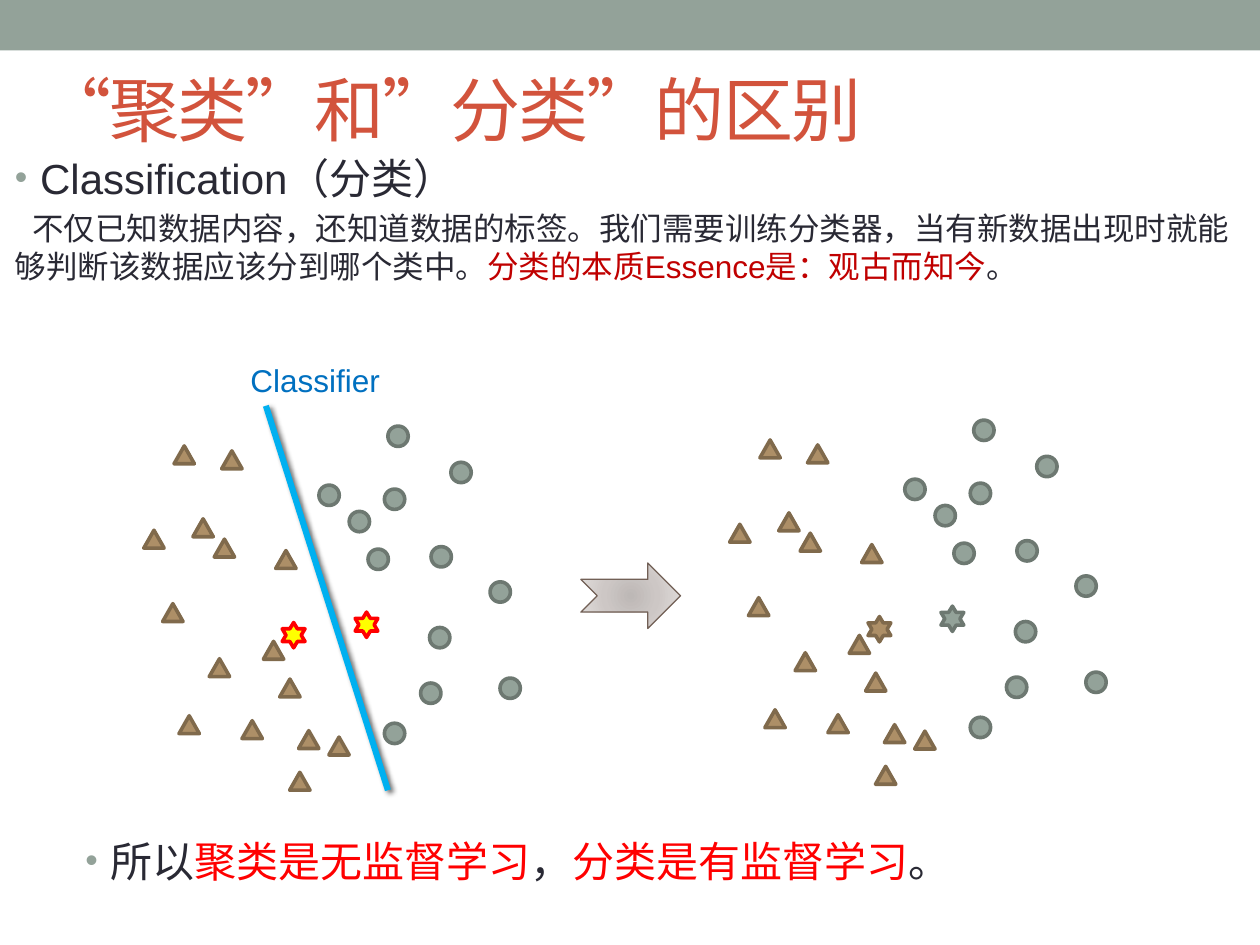
"""Build a slide on how clustering and classification differ."""
from lxml import etree
from pptx import Presentation
from pptx.dml.color import RGBColor
from pptx.enum.lang import MSO_LANGUAGE_ID
from pptx.enum.shapes import MSO_CONNECTOR, MSO_SHAPE
from pptx.enum.text import MSO_ANCHOR, MSO_AUTO_SIZE, PP_ALIGN
from pptx.oxml import parse_xml
from pptx.oxml.ns import nsdecls, qn
from pptx.util import Cm, Pt

CIRCLE = MSO_SHAPE.FLOWCHART_CONNECTOR
TRIANGLE = MSO_SHAPE.FLOWCHART_EXTRACT
STAR = MSO_SHAPE.STAR_6_POINT
ARROW = MSO_SHAPE.NOTCHED_RIGHT_ARROW
BAR = MSO_SHAPE.RECTANGLE
STRAIGHT = MSO_CONNECTOR.STRAIGHT
TOP, MIDDLE = MSO_ANCHOR.TOP, MSO_ANCHOR.MIDDLE
LEFT = PP_ALIGN.LEFT
NO_FIT = MSO_AUTO_SIZE.NONE
CHINESE = MSO_LANGUAGE_ID.SIMPLIFIED_CHINESE

INK, RED, DARK_RED = "292934", "FF0000", "C00000"
GREEN, BROWN, NEW = ("93A299", "6D7871"), ("AD8F67", "806A4C"), ("FFFF00", RED)

TITLE = [{"size": 40, "runs": [(" “聚类”和”分类”的区别", "D2533C")]}]
DEFINITION = [
    {"size": 24, "bullet": True, "runs": [("Classification（分类）", INK)]},
    {"size": 18, "before": 3.6, "indent": 0.35, "runs": [
        ("不仅已知数据内容，还知道数据的标签。我们需要训练分类器，"
         "当有新数据出现时就能够判断该数据应该分到哪个类中。", INK),
        ("分类的本质Essence是：观古而知今", DARK_RED),
        ("。", INK)]},
]
CONCLUSION = [{"size": 24, "bullet": True, "runs": [
    ("所以", INK), ("聚类是无监督学习", RED), ("，", INK),
    ("分类是有监督学习", RED), ("。", INK)]}]
CLASSIFIER = [{"size": 18, "runs": [("Classifier", "0070C0")]}]

CIRCLES = [(7.75, 9.86), (7.82, 8.59), (9.09, 9.32), (8.69, 11.02), (8.66, 12.65),
           (10.08, 13.67), (7.04, 10.31), (7.42, 11.07), (9.88, 11.73),
           (8.48, 13.77), (7.75, 14.58), (6.43, 9.78)]
TRIANGLES = [(3.51, 8.99), (4.47, 9.09), (3.89, 10.46), (5.64, 13.69), (4.22, 13.28),
             (4.88, 14.53), (5.56, 11.1), (5.31, 12.93), (6.02, 14.73), (2.9, 10.69),
             (4.32, 10.87), (3.28, 12.17), (3.61, 14.43), (5.84, 15.57), (6.63, 14.86)]
GREEN_STAR, BROWN_STAR = (7.16, 12.34), (5.69, 12.55)
PANELS = [((0, 0), NEW, NEW), ((11.81, -0.12), GREEN, BROWN)]
GRADIENT = [(0, "BDB8B6"), (45, "CDC7C5"), (100, "E4E1DF")]


def color(value):
    return RGBColor.from_string(value)


def add_shape(page, kind, place, fill, line=None, width=2.08):
    shape = page.shapes.add_shape(kind, *map(Cm, place))
    shape.shadow.inherit = False
    shape.fill.solid()
    shape.fill.fore_color.rgb = color(fill)
    if line:
        shape.line.color.rgb = color(line)
        shape.line.width = Pt(width)
    else:
        shape.line.fill.background()
    return shape


def add_bullet(properties):
    tint = etree.SubElement(properties, qn("a:buClr"))
    etree.SubElement(tint, qn("a:srgbClr"), val=GREEN[0])
    etree.SubElement(properties, qn("a:buSzPct"), val="85000")
    etree.SubElement(properties, qn("a:buFont"), typeface="Arial")
    etree.SubElement(properties, qn("a:buChar"), char="•")


def write(box, place, paragraphs, anchor=TOP, wrap=True):
    for name, value in zip(("left", "top", "width", "height"), place):
        setattr(box, name, Cm(value))
    frame = box.text_frame
    settings = {"word_wrap": wrap, "auto_size": NO_FIT, "vertical_anchor": anchor}
    for name, value in settings.items():
        setattr(frame, name, value)
    for index, content in enumerate(paragraphs):
        para = frame.add_paragraph() if index else frame.paragraphs[0]
        properties = para._p.get_or_add_pPr()
        bullet = content.get("bullet")
        margin = 0.51 if bullet else 0
        indent = -margin if bullet else content.get("indent", 0)
        properties.set("marL", str(Cm(margin)))
        properties.set("indent", str(Cm(indent)))
        if bullet:
            add_bullet(properties)
        para.alignment = LEFT
        para.space_before = Pt(content.get("before", 0))
        for text, tint in content["runs"]:
            span = para.add_run()
            span.text = text
            look = {"size": Pt(content["size"]), "name": "Arial", "language_id": CHINESE}
            for name, value in look.items():
                setattr(span.font, name, value)
            span.font.color.rgb = color(tint)


def add_boundary(page):
    line = page.shapes.add_connector(STRAIGHT, Cm(5.36), Cm(8.18), Cm(7.82), Cm(15.93))
    line.line.color.rgb = color("00B0F0")
    line.line.width = Pt(3.5)
    line._element.spPr.append(parse_xml(
        f'<a:effectLst {nsdecls("a")}>'
        f'<a:outerShdw blurRad="{Pt(3)}" dist="{Pt(2)}" dir="2700000">'
        '<a:srgbClr val="000000"><a:alpha val="60000"/></a:srgbClr>'
        '</a:outerShdw></a:effectLst>'))


def add_arrow(page):
    arrow = add_shape(page, ARROW, (11.71, 11.35, 2.01, 1.32), GRADIENT[0][1], "726056", 0.75)
    stops = "".join(f'<a:gs pos="{position * 1000}"><a:srgbClr val="{tint}"/></a:gs>'
                    for position, tint in GRADIENT)
    properties = arrow._element.spPr
    properties.replace(properties.find(qn("a:solidFill")), parse_xml(
        f'<a:gradFill {nsdecls("a")}><a:gsLst>{stops}</a:gsLst><a:path path="circle">'
        '<a:fillToRect l="100000" t="100000" r="100000" b="100000"/>'
        '</a:path></a:gradFill>'))


def add_panel(page, shift, green_star, brown_star):
    groups = [(CIRCLE, CIRCLES, (0.41, 0.41), GREEN),
              (TRIANGLE, TRIANGLES, (0.41, 0.36), BROWN),
              (STAR, [GREEN_STAR], (0.46, 0.51), green_star),
              (STAR, [BROWN_STAR], (0.46, 0.51), brown_star)]
    for kind, points, size, colors in groups:
        for left, top in points:
            add_shape(page, kind, (left + shift[0], top + shift[1], *size), *colors)


def main():
    deck = Presentation()
    deck.slide_width, deck.slide_height = Cm(25.4), Cm(19.05)
    page = deck.slides.add_slide(deck.slide_layouts[5])
    add_shape(page, BAR, (0, 0, 25.4, 1.02), GREEN[0])
    write(page.shapes.title, (0.3, 0.91, 23.85, 2.54), TITLE, MIDDLE)
    for span in page.shapes.title.text_frame.paragraphs[0].runs:
        span.font._element.set("spc", "-100")
    boxes = [((0.05, 2.95, 25.4, 3.73), DEFINITION, True),
             ((4.8, 7.16, 3.43, 1.02), CLASSIFIER, False),
             ((1.47, 16.71, 19.23, 1.6), CONCLUSION, True)]
    for place, paragraphs, wrap in boxes:
        write(page.shapes.add_textbox(*map(Cm, place)), place, paragraphs, wrap=wrap)
    add_boundary(page)
    for panel in PANELS:
        add_panel(page, *panel)
    add_arrow(page)
    deck.save("out.pptx")


if __name__ == "__main__":
    main()
